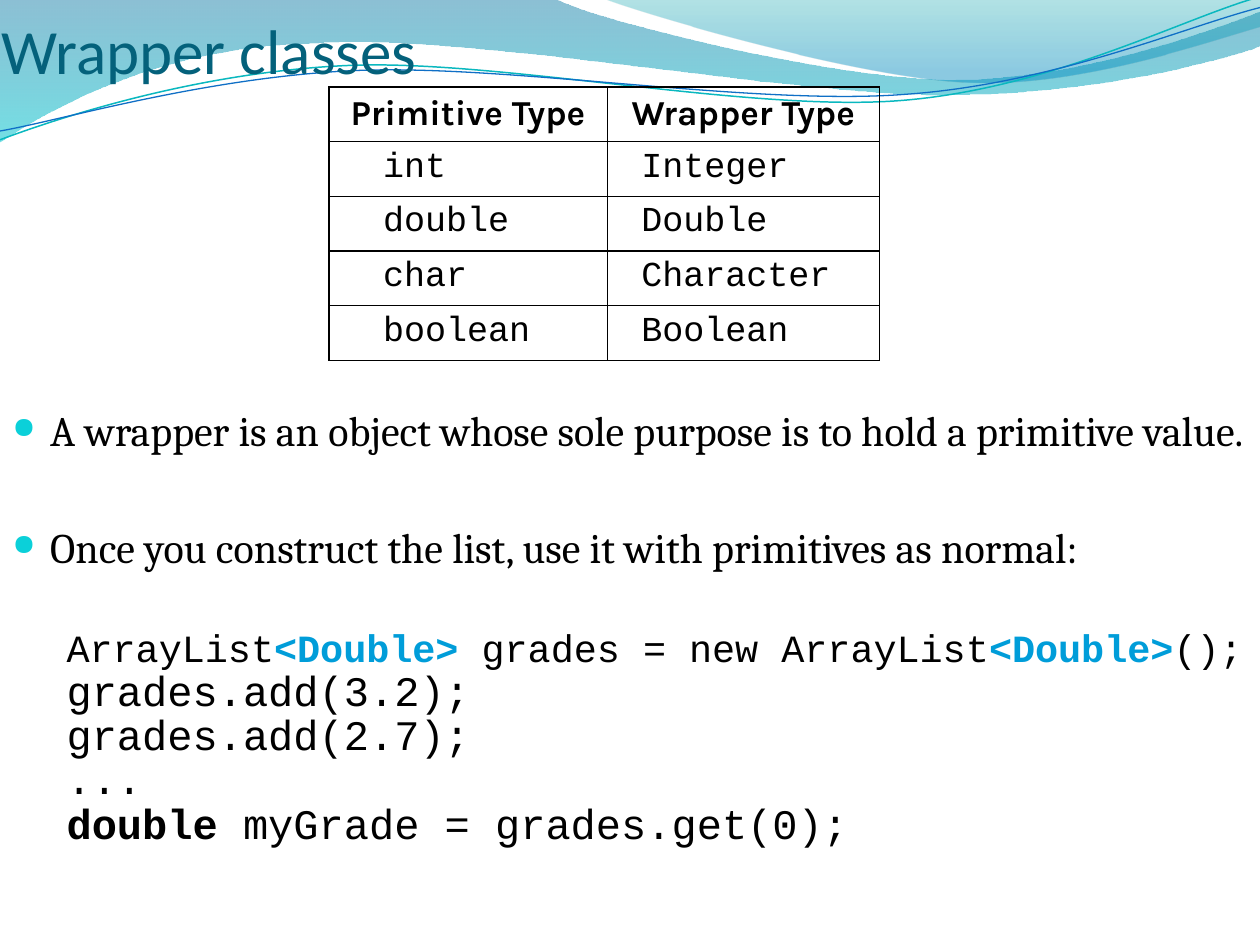
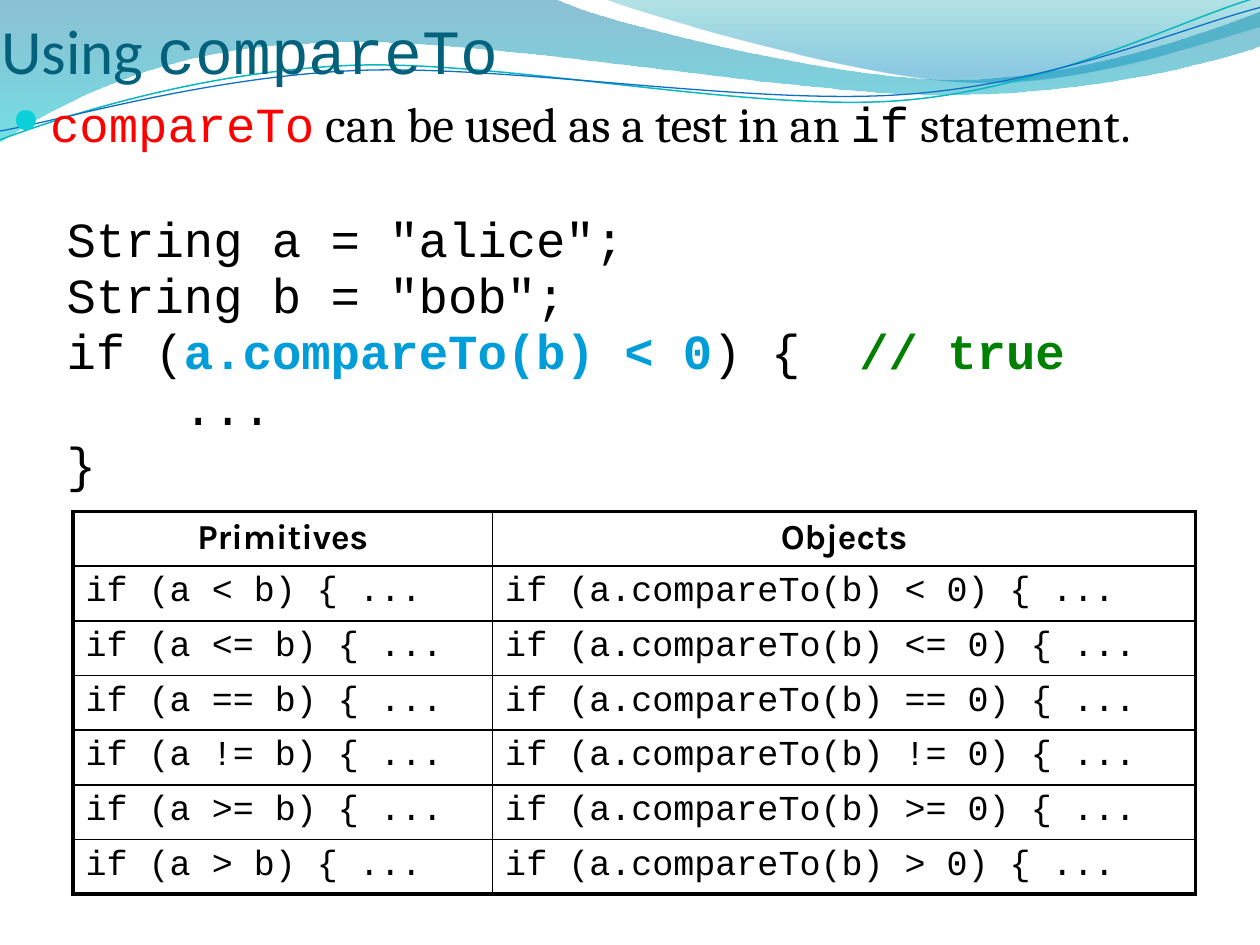
from lxml.etree import SubElement as add_child
from pptx import Presentation
from pptx.dml.color import RGBColor
from pptx.enum.text import MSO_ANCHOR as Anchor, PP_ALIGN as Align
from pptx.oxml.ns import qn
from pptx.util import Inches, Pt

BLACK, TITLE, BULLET = "000000", "04617B", "0BD0D9"
ACCENT, RED, GREEN = "009DD9", "FF0000", "008000"
SERIF, MONO, HEADING = "Cambria", "Courier New", "Karla"

BANDS = [
    ([(0, 0), (4.4, -0.01), (4.76, 0.17, 6.64, 0.63, 7.58, 0.63),
      (8.53, 0.63, 9.58, 0.26, 10, 0.09), (10.01, 0.36),
      (9.83, 0.44, 8.7, 0.76, 7.46, 0.75), (6.22, 0.75, 3.82, 0.28, 2.57, 0.34),
      (1.29, 0.36, 0.46, 0.83, -0.01, 1.13), (0, 0)],
     [(0, "0074A1", 45), (1, "00C6CF", 55)]),
    ([(4.79, -0.01), (5.09, 0.11, 6.82, 0.62, 7.69, 0.65),
      (8.56, 0.69, 9.61, 0.32, 10, 0.21), (10, 0), (4.79, -0.01)],
     [(0, "00A1A9", 30), (0.8, "008BBF", 45)]),
]
WAVES = [
    ([(0, 1.11), (0.48, 0.93, 1.58, 0.57, 2.77, 0.52),
      (3.95, 0.47, 5.93, 0.89, 7.13, 0.8), (8.33, 0.71, 9.38, 0.15, 9.98, -0.02)],
     "0AB8BF", 0.85),
    ([(0, 1.04), (0.47, 0.96, 1.64, 0.61, 2.83, 0.56),
      (4.03, 0.51, 5.97, 0.84, 7.17, 0.75), (8.36, 0.67, 9.41, 0.21, 10, 0.06)],
     "0F6FC6", 0.75),
]


def color(value):
    return RGBColor.from_string(value)


def set_all(target, values):
    for name, value in values.items():
        setattr(target, name, value)


def style(size, name=SERIF, ink=BLACK, bold=False):
    return {"size": Pt(size), "name": name, "bold": bold, "ink": ink}


def write(para, spans, **layout):
    set_all(para, layout)
    for text, look in spans:
        span = para.add_run()
        span.text = text
        set_all(span.font, {key: look[key] for key in ("size", "name", "bold")})
        span.font.color.rgb = color(look["ink"])


def bend(shape, segments):
    steps = iter(list(shape._element.iter(qn("a:lnTo"))))
    for segment in segments:
        corners = [next(steps) for _ in range(len(segment) // 2)]
        if len(corners) == 1:
            continue
        outline = corners[0].getparent()
        curve = outline.makeelement(qn("a:cubicBezTo"))
        corners[0].addprevious(curve)
        for corner in corners:
            curve.append(corner[0])
            outline.remove(corner)


def add_outline(page, outline, close):
    first, *rest = [
        (Inches(x), Inches(y)) for segment in outline
        for x, y in zip(segment[::2], segment[1::2])]
    builder = page.shapes.build_freeform(*first, scale=1.0)
    builder.add_line_segments(rest, close=close)
    shape = builder.convert_to_shape()
    bend(shape, outline[1:])
    shape.shadow.inherit = False
    return shape


def add_band(page, outline, stops):
    band = add_outline(page, outline, True)
    band.line.fill.background()
    band.fill.gradient()
    band.fill.gradient_angle = 270
    for stop, (position, ink, _) in zip(band.fill.gradient_stops, stops):
        stop.position = position
        stop.color.rgb = color(ink)
    for tint, (_, _, opacity) in zip(band._element.spPr.iter(qn("a:srgbClr")), stops):
        add_child(tint, qn("a:alpha"), val=str(opacity * 1000))


def add_wave(page, outline, ink, width):
    wave = add_outline(page, outline, False)
    wave.fill.background()
    wave.line.color.rgb = color(ink)
    wave.line.width = Pt(width)


def add_box(page, left, top, width, height, **frame_values):
    box = page.shapes.add_textbox(*map(Inches, (left, top, width, height)))
    set_all(box.text_frame, {"word_wrap": True, **frame_values})
    return box.text_frame


def add_page(deck, title_spans):
    page = deck.slides.add_slide(deck.slide_layouts[6])
    for band in BANDS:
        add_band(page, *band)
    for wave in WAVES:
        add_wave(page, *wave)
    frame = add_box(page, 0.01, 0, 9, 0.69, vertical_anchor=Anchor.BOTTOM,
                    margin_left=0, margin_right=0, margin_bottom=0)
    write(frame.paragraphs[0],
          [(text, style(36, font, TITLE)) for text, font in title_spans])
    return page


def next_para(frame):
    para = frame.paragraphs[0]
    return frame.add_paragraph() if para.runs else para


def indent(para, left, first=0):
    properties = para._p.get_or_add_pPr()
    properties.set("marL", str(Inches(left)))
    properties.set("indent", str(Inches(first)))
    return properties


def add_bullet(frame, spans, before=0):
    para = next_para(frame)
    properties = indent(para, 0.3, -0.3)
    tint = add_child(properties, qn("a:buClr"))
    add_child(tint, qn("a:srgbClr"), val=BULLET)
    add_child(properties, qn("a:buSzPct"), val="70000")
    add_child(properties, qn("a:buChar"), char="●")
    write(para, spans, space_before=Pt(before))


def add_code(frame, lines, spacing, gap, lead):
    for index, (left, spans) in enumerate(lines):
        para = next_para(frame)
        indent(para, left)
        write(para, spans, line_spacing=spacing, space_before=Pt(gap if index else lead))


def set_borders(cell, widths):
    properties = cell._tc.get_or_add_tcPr()
    for side, width in zip("LRTB", widths):
        edge = add_child(properties, qn(f"a:ln{side}"), w=str(Pt(width)))
        fill = add_child(edge, qn("a:solidFill"))
        add_child(fill, qn("a:srgbClr"), val=BLACK)


def add_grid(page, place, widths, heights, rows, outer=1, insets=(0.1, 0.1)):
    last_row, last_column = len(rows) - 1, len(widths) - 1
    holder = page.shapes.add_table(len(rows), len(widths), *map(Inches, place))
    table = holder.table
    set_all(table, {"first_row": False, "horz_banding": False})
    for column, width in zip(table.columns, widths):
        column.width = Inches(width)
    for r, texts in enumerate(rows):
        table.rows[r].height = Inches(heights[r])
        for c, text in enumerate(texts):
            cell = table.cell(r, c)
            on_edge = (c == 0, c == last_column, r == 0, r == last_row)
            set_borders(cell, [outer if edge else 1 for edge in on_edge])
            cell.fill.background()
            para = cell.text_frame.paragraphs[0]
            if r == 0:
                write(para, [(text, style(20, HEADING, bold=True))], alignment=Align.CENTER)
            else:
                cell.margin_left = Inches(insets[c])
                write(para, [(text, style(20, MONO))])
    holder.height = Inches(place[3])


def build_wrapper_page(deck):
    page = add_page(deck, [("Wrapper classes", "Calibri")])
    frame = add_box(page, 0, 3.16, 10.12, 4.34)
    prose, code, first_line = style(24), style(24, MONO), style(22, MONO)
    type_mark = style(22, MONO, ACCENT, True)
    add_bullet(frame, [
        ("A wrapper is an object whose sole purpose is to hold a primitive value.", prose)])
    add_bullet(frame, [
        ("Once you construct the list, use it with primitives as normal:", prose)], 38)
    add_code(frame, [
        (0.43, [("ArrayList", first_line), ("<Double>", type_mark),
                (" grades = new ArrayList", first_line), ("<Double>", type_mark),
                ("();", first_line)]),
        (0.43, [("grades.add(3.2);", code)]),
        (0.43, [("grades.add(2.7);", code)]),
        (0.43, [("...", code)]),
        (0.43, [("double ", style(24, MONO, bold=True)),
                ("myGrade = grades.get(0);", code)]),
    ], 0.7, 5.1, 37.4)
    add_grid(page, (2.61, 0.69, 4.37, 2.17), (2.21, 2.16), (0.28, 0, 0.28, 0.28, 0), [
        ("Primitive Type", "Wrapper Type"),
        ("int", "Integer"), ("double", "Double"),
        ("char", "Character"), ("boolean", "Boolean"),
    ], insets=(0.43, 0.27))


def build_compare_page(deck):
    page = add_page(deck, [("Using ", "Calibri"), ("compareTo", MONO)])
    frame = add_box(page, 0, 0.69, 9.96, 6.81)
    prose, code = style(28), style(28, MONO)
    add_bullet(frame, [
        ("compareTo", style(28, MONO, RED)), (" can be used as a test in an ", prose),
        ("if", code), (" statement.", prose)])
    add_code(frame, [
        (0.43, [('String a = "alice";', code)]),
        (0.43, [('String b = "bob";', code)]),
        (0.43, [("if (", code), ("a.compareTo(b) < 0", style(28, MONO, ACCENT, True)),
                (") {  ", code), ("// true", style(28, MONO, GREEN, True))]),
        (1.36, [("...", code)]),
        (0.43, [("}", code)]),
    ], 0.8, 5.2, 38.8)
    operators = ("<", "<=", "==", "!=", ">=", ">")
    comparisons = [(f"if (a {sign} b) {{ ...", f"if (a.compareTo(b) {sign} 0) {{ ...")
                   for sign in operators]
    add_grid(page, (0.58, 4.06, 8.92, 3.03), (3.33, 5.58), [0.43] * 7,
             [("Primitives", "Objects")] + comparisons, outer=2.25)


def main():
    deck = Presentation()
    set_all(deck, {"slide_width": Inches(10), "slide_height": Inches(7.5)})
    build_wrapper_page(deck)
    build_compare_page(deck)
    deck.save("out.pptx")


if __name__ == "__main__":
    main()
